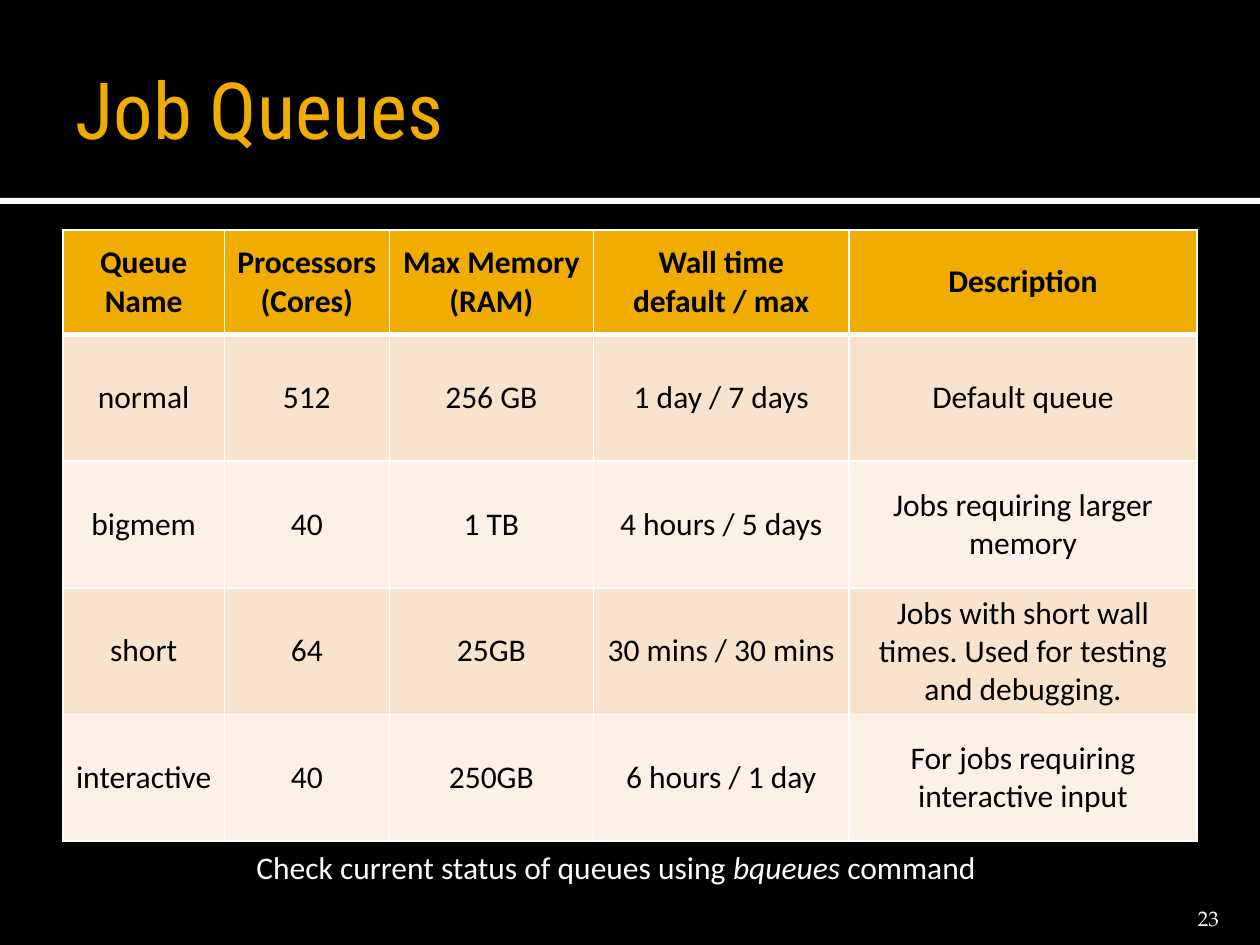
"""Build the Job Queues slide with its table of queue limits."""
import pptx
import pptx.dml.color
import pptx.enum.shapes
import pptx.enum.text
import pptx.oxml
import pptx.oxml.ns
import pptx.util

Pt = pptx.util.Pt
RGBColor = pptx.dml.color.RGBColor
Align = pptx.enum.text.PP_ALIGN
Anchor = pptx.enum.text.MSO_ANCHOR

THEME = {
    "black": "000000", "white": "FFFFFF", "gold": "F0AD00",
    "bands": ["FCF1E7", "F9E3CC"],
    "title_font": "Roboto Condensed", "body_font": "Calibri", "number_font": "TeX Gyre Pagella",
    "title_size": 45, "body_size": 18, "number_size": 12,
}


def format_text(text_frame, font_name, size, color, alignment, bold=False):
    for paragraph in text_frame.paragraphs:
        paragraph.alignment = alignment
        for run in paragraph.runs:
            run.font.name = font_name
            run.font.size = Pt(size)
            run.font.bold = bold
            run.font.color.rgb = RGBColor.from_string(color)


def add_border(cell, side, width):
    properties = cell._tc.get_or_add_tcPr()
    properties.append(pptx.oxml.parse_xml(
        f'<a:ln{side} {pptx.oxml.ns.nsdecls("a")} w="{Pt(width)}"><a:solidFill>'
        f'<a:srgbClr val="{THEME["white"]}"/></a:solidFill></a:ln{side}>'))


presentation = pptx.Presentation()
presentation.slide_width, presentation.slide_height = Pt(720), Pt(540)
slide = presentation.slides.add_slide(presentation.slide_layouts[5])
slide.background.fill.solid()
slide.background.fill.fore_color.rgb = RGBColor.from_string(THEME["black"])

title = slide.shapes.title
title.left, title.top, title.width, title.height = Pt(36), Pt(12), Pt(648), Pt(99)
title.text_frame.text = "Job Queues"
title.text_frame.vertical_anchor = Anchor.MIDDLE
title.text_frame.margin_right = Pt(3.6)
format_text(title.text_frame, THEME["title_font"], THEME["title_size"], THEME["gold"], Align.LEFT)

for top, height, color in [(113, 3.6, THEME["white"]), (0, 113, THEME["black"])]:
    band = slide.shapes.add_shape(
        pptx.enum.shapes.MSO_SHAPE.RECTANGLE, Pt(0), Pt(top), Pt(720), Pt(height))
    band.shadow.inherit = False
    band.fill.solid()
    band.fill.fore_color.rgb = RGBColor.from_string(color)
    band.line.fill.background()
    title.element.addprevious(band.element)

number_box = slide.shapes.add_textbox(Pt(646), Pt(510), Pt(57.6), Pt(21.6))
number_box.text_frame.word_wrap = True
number_box.text_frame.vertical_anchor = Anchor.BOTTOM
number_box.text_frame.margin_bottom = Pt(0)
number_box.text_frame.text = "23"
format_text(number_box.text_frame, THEME["number_font"], THEME["number_size"],
            THEME["white"], Align.RIGHT)

hint_box = slide.shapes.add_textbox(Pt(93), Pt(481), Pt(518), Pt(29))
hint_box.text_frame.word_wrap = True
for text, italic in [("Check current status of queues using ", False),
                     ("bqueues ", True), ("command", False)]:
    run = hint_box.text_frame.paragraphs[0].add_run()
    run.text = text
    run.font.italic = italic
format_text(hint_box.text_frame, THEME["body_font"], THEME["body_size"],
            THEME["white"], Align.CENTER)

queues = [
    ["Queue Name", "Processors (Cores)", "Max Memory (RAM)",
     "Wall time\ndefault / max", "Description"],
    ["normal", "512", "256 GB", "1 day / 7 days", "Default queue"],
    ["bigmem", "40", "1 TB", "4 hours / 5 days", "Jobs requiring larger memory"],
    ["short", "64", "25GB", "30 mins / 30 mins",
     "Jobs with short wall times. Used for testing and debugging."],
    ["interactive", "40", "250GB", "6 hours / 1 day", "For jobs requiring interactive input"],
]
column_widths = [92.2, 94.3, 116.6, 146.2, 198.7]
row_heights = [59.8] + [72.4] * 4
table = slide.shapes.add_table(
    len(queues), len(column_widths), Pt(36), Pt(131.3),
    Pt(sum(column_widths)), Pt(sum(row_heights))).table
for column, width in zip(table.columns, column_widths):
    column.width = Pt(width)
for row_index, (row, height, texts) in enumerate(zip(table.rows, row_heights, queues)):
    row.height = Pt(height)
    is_header = row_index == 0
    for cell, text in zip(row.cells, texts):
        cell.text_frame.text = text
        cell.vertical_anchor = Anchor.MIDDLE
        format_text(cell.text_frame, THEME["body_font"], THEME["body_size"],
                    THEME["black"], Align.CENTER, bold=is_header)
        for side in "LRTB":
            below_header = (row_index, side) in [(0, "B"), (1, "T")]
            add_border(cell, side, 3 if below_header else 1)
        cell.fill.solid()
        cell.fill.fore_color.rgb = RGBColor.from_string(
            THEME["gold"] if is_header else THEME["bands"][row_index % 2])

presentation.save("out.pptx")
